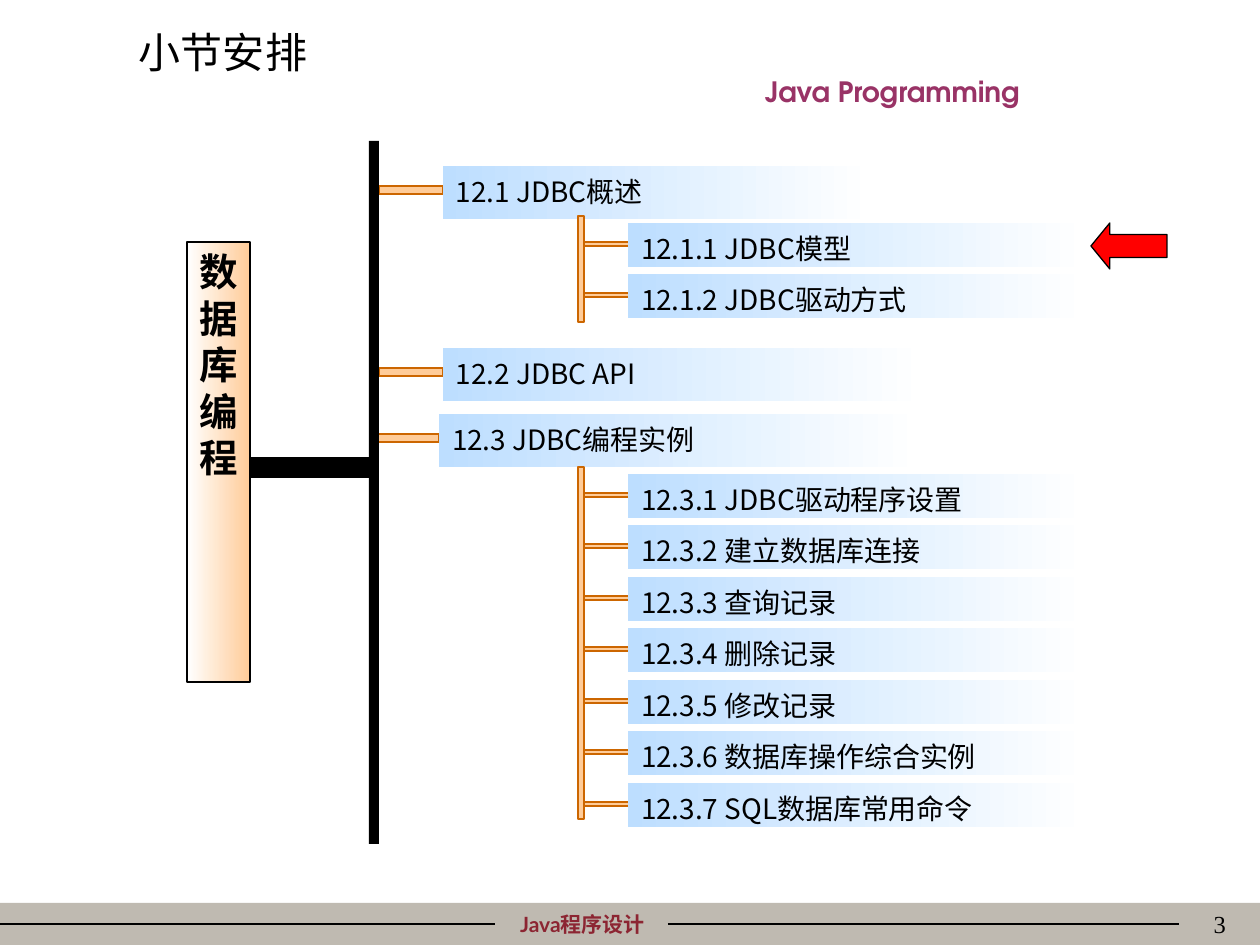
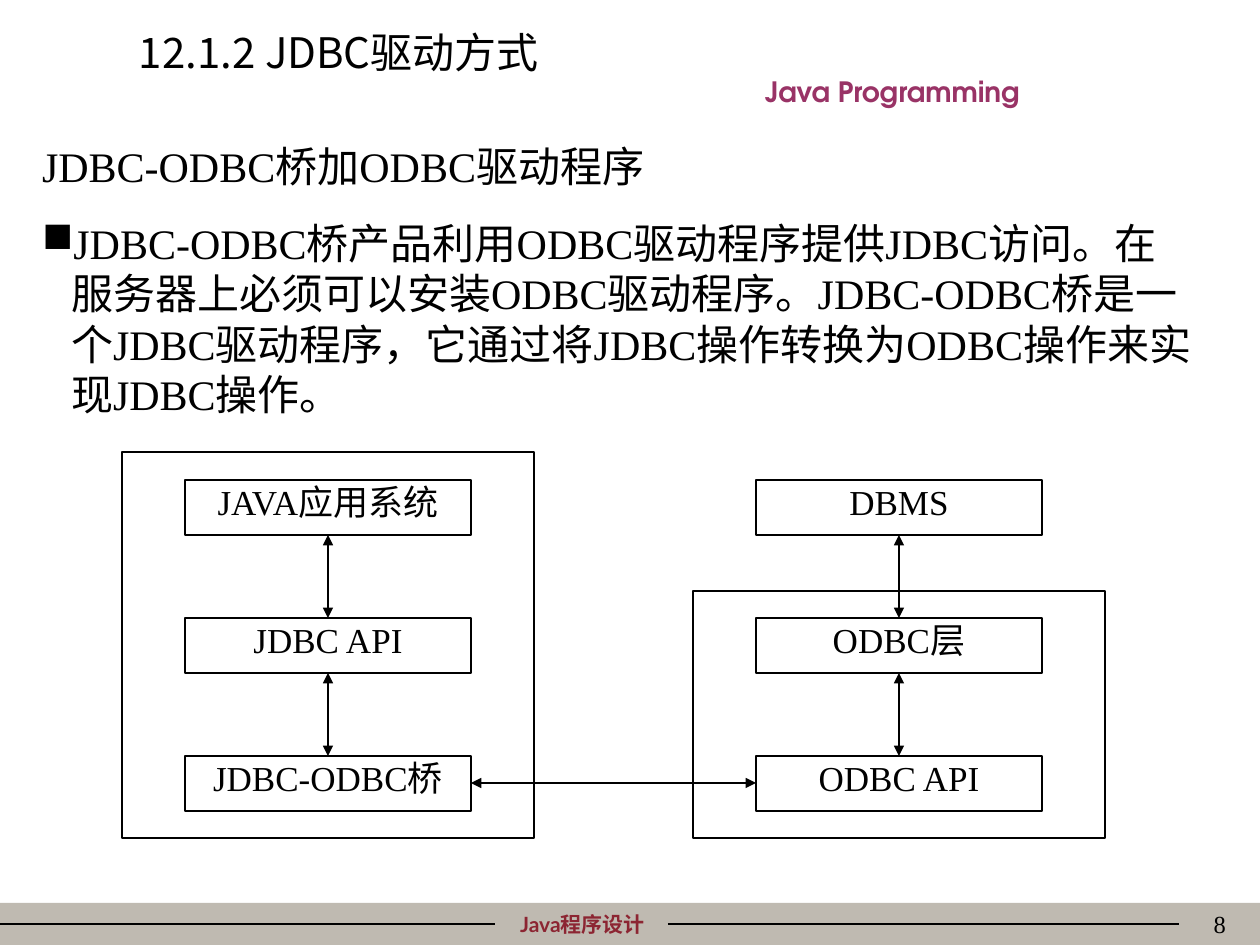
from lxml.etree import SubElement as Sub
from pptx import Presentation
from pptx.dml.color import RGBColor
from pptx.enum.shapes import MSO_CONNECTOR as Link, MSO_SHAPE as Kind
from pptx.enum.text import MSO_ANCHOR as Anchor, MSO_AUTO_SIZE as Fit, PP_ALIGN as Align
from pptx.oxml.ns import qn
from pptx.util import Emu, Pt

SANS, SERIF = "Noto Sans CJK SC", "Times New Roman"
BLACK, WHITE, BAND, WINE, PLUM = "000000", "FFFFFF", "BFBAB1", "8C2532", "993366"
SKY, PEACH, RUST, RED = "BDDEFF", "FFCC99", "CC6600", "FF0000"


def px(n):
    """Turn px into EMU."""
    return Emu(round(n * 914400 / 126))


def tint(code):
    """Turn a hex string into a colour."""
    return RGBColor.from_string(code)


def write(frame, text, size, font=SANS, color=BLACK, bold=False, align=Align.LEFT,
          pad=(13, 6), lead=None):
    """Fill a text frame and format its paragraphs."""
    frame.text = text
    frame.word_wrap = True
    frame.auto_size = Fit.NONE
    frame.vertical_anchor = Anchor.TOP
    frame.margin_left = frame.margin_right = px(pad[0])
    frame.margin_top = frame.margin_bottom = px(pad[1])
    lead = lead or (1.3 if font in (SANS, "Lato") else 1.2)
    for i, para in enumerate(frame.paragraphs):
        para.alignment = align
        para.line_spacing = Pt(round(size * lead, 1))
        para.space_before = Pt(15 if i else 0)
        for run in para.runs:
            run.font.size, run.font.bold = Pt(size), bold
            run.font.color.rgb = tint(color)
            run.font.name = font
            Sub(run.font._element, qn("a:ea"), typeface=SANS)


def label(slide, box, text, size, **look):
    """Add a text box."""
    area = slide.shapes.add_textbox(*map(px, box))
    write(area.text_frame, text, size, **look)
    return area.text_frame


def shape(slide, box, fill, line=None, kind=Kind.RECTANGLE):
    """Add a preset shape; a pair of colours makes a gradient."""
    item = slide.shapes.add_shape(kind, *map(px, box))
    item.shadow.inherit = False
    if isinstance(fill, tuple):
        item.fill.gradient()
        item.fill.gradient_angle = 0
        for stop, code in zip(item.fill.gradient_stops, fill):
            stop.color.rgb = tint(code)
            stop.position = fill.index(code)
    else:
        item.fill.solid()
        item.fill.fore_color.rgb = tint(fill)
    if line:
        item.line.color.rgb = tint(line)
        item.line.width = Pt(0.75)
    else:
        item.line.fill.background()
    return item


def rule(slide, start, end, arrow=False):
    """Add a thin line, with heads at both ends if asked."""
    line = slide.shapes.add_connector(Link.STRAIGHT, *map(px, start + end))
    line.line.color.rgb = tint(BLACK)
    line.line.width = Pt(0.75)
    if arrow:
        for tag in ("a:headEnd", "a:tailEnd"):
            Sub(line.line._get_or_add_ln(), qn(tag), type="triangle")
    Sub(line._element.spPr, qn("a:effectLst"))


def base(deck, title, width, number):
    """Add a slide with its title, footer band and course name."""
    slide = deck.slides.add_slide(deck.slide_layouts[5])
    shape(slide, (0, 903, 1260, 42), BAND)
    label(slide, (456, 903, 253, 38), "Java程序设计", 12, font="Lato", color=WINE,
          bold=True, align=Align.CENTER)
    for left, right in ((0, 495), (668, 1179)):
        rule(slide, (left, 924), (right, 924))
    label(slide, (640, 69, 505, 47), "Java Programming", 16, font="TeX Gyre Adventor",
          color=PLUM, bold=True, align=Align.CENTER)
    label(slide, (977, 903, 262, 63), number, 14, font=SERIF, align=Align.RIGHT)
    head = slide.shapes.title
    head.left, head.top, head.width, head.height = map(px, (126, 16, width, 63))
    write(head.text_frame, title, 24)
    return slide


def topic(slide, box, text, stub):
    """Add a fading topic bar, tied to the left by a stub (x, drop, height)."""
    x, drop, high = stub
    shape(slide, (box[0] + x, box[1] + drop, 64, high), PEACH, RUST)
    bar = shape(slide, box, (SKY, WHITE))
    write(bar.text_frame, text, 16)


def branch(slide, x, y, spine, names):
    """Add a spine of the given height with its row of subtopics."""
    for i, name in enumerate(names):
        topic(slide, (x, y + 103 * i // 2, 460, 44), name, (-47, 19, 4))
    shape(slide, (x - 50, y - 7, 6, spine), PEACH, RUST)


def outline(deck):
    """Build the chapter outline."""
    slide = base(deck, "小节安排", 359, "3")
    root = shape(slide, (187, 242, 63, 440), (WHITE, PEACH), BLACK)
    write(root.text_frame, "数据库编程", 22, bold=True, align=Align.CENTER, lead=1.21)
    shape(slide, (250, 457, 126, 21), BLACK)
    for x, y, wide, name in ((443, 166, 430, "12.1 JDBC概述"),
                             (443, 348, 483, "12.2 JDBC API"),
                             (439, 414, 483, "12.3 JDBC编程实例")):
        topic(slide, (x, y, wide, 53), name, (-64, 20, 8))
    shape(slide, (369, 141, 10, 703), BLACK)
    branch(slide, 628, 223, 106, ("12.1.1 JDBC模型", "12.1.2 JDBC驱动方式"))
    branch(slide, 628, 474, 352, (
        "12.3.1 JDBC驱动程序设置", "12.3.2 建立数据库连接", "12.3.3 查询记录",
        "12.3.4 删除记录", "12.3.5 修改记录", "12.3.6 数据库操作综合实例",
        "12.3.7 SQL数据库常用命令"))
    mark = shape(slide, (1091, 223, 76, 46), RED, BLACK, Kind.LEFT_ARROW)
    mark.adjustments[1] = 0.41


def stack(slide, x, y, names):
    """Add a column of boxes joined by arrows."""
    wide, high, step = 286, 55, 138
    for i, name in enumerate(names):
        top = y + step * i
        node = shape(slide, (x, top, wide, high), WHITE, BLACK)
        write(node.text_frame, name, 20, font=SERIF, align=Align.CENTER, pad=(0, 0))
        if i:
            mid = x + wide // 2
            rule(slide, (mid, top - step + high), (mid, top), arrow=True)


def bridge(deck):
    """Build the driver page with its text and diagram."""
    slide = base(deck, "12.1.2 JDBC驱动方式", 479, "8")
    body = label(slide, (29, 135, 1178, 291), "JDBC-ODBC桥加ODBC驱动程序\n"
                 "JDBC-ODBC桥产品利用ODBC驱动程序提供JDBC访问。"
                 "在服务器上必须可以安装ODBC驱动程序。"
                 "JDBC-ODBC桥是一个JDBC驱动程序，"
                 "它通过将JDBC操作转换为ODBC操作来实现JDBC操作。", 24, font=SERIF)
    props = body.paragraphs[1]._p.get_or_add_pPr()
    props.set("marL", str(px(29)))
    props.set("indent", str(px(-29)))
    Sub(props, qn("a:buChar"), char="■")
    shape(slide, (693, 591, 412, 247), WHITE, BLACK)
    shape(slide, (122, 452, 412, 386), WHITE, BLACK)
    stack(slide, 185, 480, ("JAVA应用系统", "JDBC API", "JDBC-ODBC桥"))
    stack(slide, 756, 480, ("DBMS", "ODBC层", "ODBC API"))
    rule(slide, (471, 783), (756, 783), arrow=True)


def main():
    """Build and save the deck."""
    deck = Presentation()
    deck.slide_width, deck.slide_height = px(1260), px(945)
    outline(deck)
    bridge(deck)
    deck.save("out.pptx")


if __name__ == "__main__":
    main()
